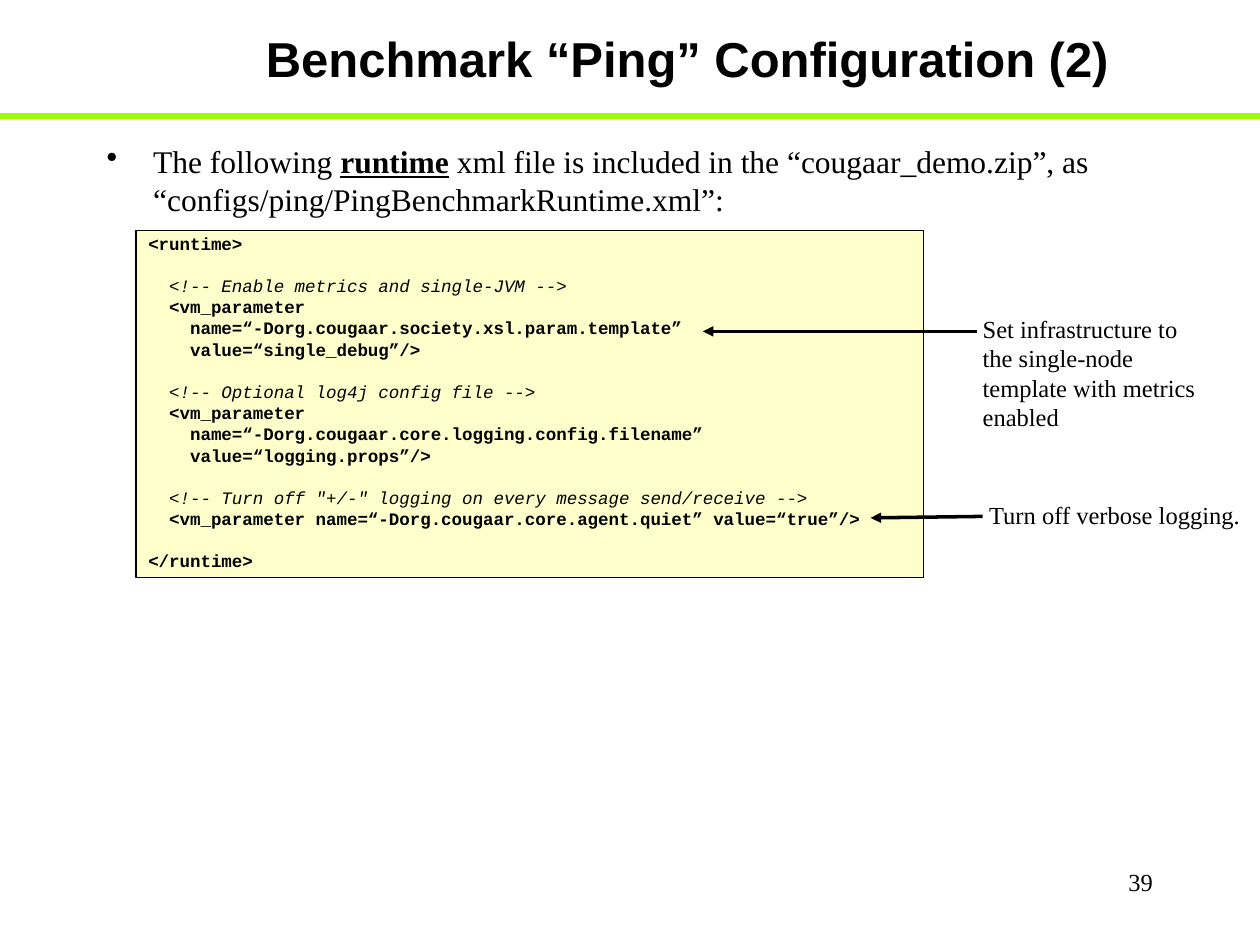
from lxml import etree
from pptx import Presentation
from pptx.dml.color import RGBColor
from pptx.enum import shapes, text
from pptx.oxml import ns
from pptx.util import Cm, Pt

SERIF = {"name": "Times New Roman", "size": Pt(14)}
CODE_GROUPS = [
    ["<runtime>"],
    ["  <!-- Enable metrics and single-JVM -->",
     "  <vm_parameter",
     "    name=“-Dorg.cougaar.society.xsl.param.template”",
     "    value=“single_debug”/>"],
    ["  <!-- Optional log4j config file -->",
     "  <vm_parameter",
     "    name=“-Dorg.cougaar.core.logging.config.filename”",
     "    value=“logging.props”/>"],
    ["  <!-- Turn off \"+/-\" logging on every message send/receive -->",
     "  <vm_parameter name=“-Dorg.cougaar.core.agent.quiet” value=“true”/>"],
    ["</runtime>"],
]


def color(value):
    return RGBColor.from_string(value)


def apply_values(target, values):
    for name, value in values.items():
        setattr(target, name, value)


def add_run(paragraph, words, **values):
    run = paragraph.add_run()
    run.text = words
    run.font.color.rgb = color("000000")
    apply_values(run.font, values)


def add_text(slide, box, words, font, alignment=text.PP_ALIGN.LEFT, anchor=text.MSO_ANCHOR.TOP):
    frame = slide.shapes.add_textbox(*map(Cm, box)).text_frame
    apply_values(frame, {"word_wrap": True, "vertical_anchor": anchor})
    paragraph = frame.paragraphs[0]
    paragraph.alignment = alignment
    if words:
        add_run(paragraph, words, **font)
    return paragraph


def add_line(slide, start, end, line_color, width, arrow=False):
    connector = slide.shapes.add_connector(
        shapes.MSO_CONNECTOR.STRAIGHT, *map(Cm, start + end))
    connector.line.color.rgb = color(line_color)
    connector.line.width = Pt(width)
    if arrow:
        line = connector.line._get_or_add_ln()
        etree.SubElement(line, ns.qn("a:tailEnd"), type="triangle")
    etree.SubElement(connector._element.spPr, ns.qn("a:effectLst"))


def add_header(slide, box):
    left, top, width, height = box
    bottom = top + height
    add_line(slide, (left + width, bottom), (left, bottom), "9BFF00", 3)
    add_text(slide, (left + 2.74, top, width - 3.17, height),
             "Benchmark “Ping” Configuration (2)",
             {"name": "Arial", "size": Pt(28), "bold": True},
             text.PP_ALIGN.CENTER, text.MSO_ANCHOR.MIDDLE)


def add_introduction(slide, box):
    paragraph = add_text(slide, box, "", SERIF)
    properties = paragraph._p.get_or_add_pPr()
    indent = Cm(0.94)
    properties.set("marL", str(indent))
    properties.set("indent", str(-indent))
    etree.SubElement(properties, ns.qn("a:buChar"), char="•")
    font = {**SERIF, "size": Pt(18)}
    add_run(paragraph, "The following ", **font)
    add_run(paragraph, "runtime", bold=True, underline=True, **font)
    add_run(paragraph, " xml file is included in the “cougaar_demo.zip”, as "
            "“configs/ping/PingBenchmarkRuntime.xml”:", **font)


def add_code_panel(slide, box):
    panel = slide.shapes.add_shape(shapes.MSO_SHAPE.RECTANGLE, *map(Cm, box))
    panel.shadow.inherit = False
    panel.fill.solid()
    panel.fill.fore_color.rgb = color("FFFFCC")
    panel.line.color.rgb = color("000000")
    panel.line.width = Pt(0.75)
    frame = panel.text_frame
    apply_values(frame, {"word_wrap": True, "vertical_anchor": text.MSO_ANCHOR.TOP})
    for group_index, group in enumerate(CODE_GROUPS):
        for line_index, words in enumerate(group):
            first = group_index == line_index == 0
            paragraph = frame.paragraphs[0] if first else frame.add_paragraph()
            gap = 0 if first else 2.5 if line_index else 14.6
            apply_values(paragraph, {"alignment": text.PP_ALIGN.LEFT,
                                     "line_spacing": 0.8, "space_before": Pt(gap)})
            comment = words.lstrip().startswith("<!--")
            add_run(paragraph, words, name="Courier New", size=Pt(10),
                    bold=not comment, italic=comment)


def add_callout(slide, box, words, start, end):
    left, top = box[:2]
    add_text(slide, box, words, SERIF)
    add_line(slide, (left + start[0], top + start[1]),
             (left + end[0], top + end[1]), "000000", 2, arrow=True)


def add_page_number(slide, box):
    add_text(slide, box, "39", SERIF, text.PP_ALIGN.RIGHT)


def main():
    presentation = Presentation()
    presentation.slide_width = Cm(25.4)
    presentation.slide_height = Cm(19.05)
    slide = presentation.slides.add_slide(presentation.slide_layouts[6])
    add_header(slide, (0, 0, 25.4, 2.34))
    add_introduction(slide, (1.9, 2.74, 22.66, 14.81))
    add_code_panel(slide, (2.74, 4.65, 15.88, 6.99))
    add_callout(slide, (19.56, 6.2, 5.08, 2.64),
                "Set infrastructure to the single-node template with metrics enabled",
                (0.13, 0.48), (-5.39, 0.48))
    add_callout(slide, (19.69, 9.96, 5.72, 0.86), "Turn off verbose logging.",
                (0.12, 0.45), (-2.14, 0.48))
    add_page_number(slide, (18.21, 17.35, 5.28, 1.27))
    presentation.save("out.pptx")


if __name__ == "__main__":
    main()
